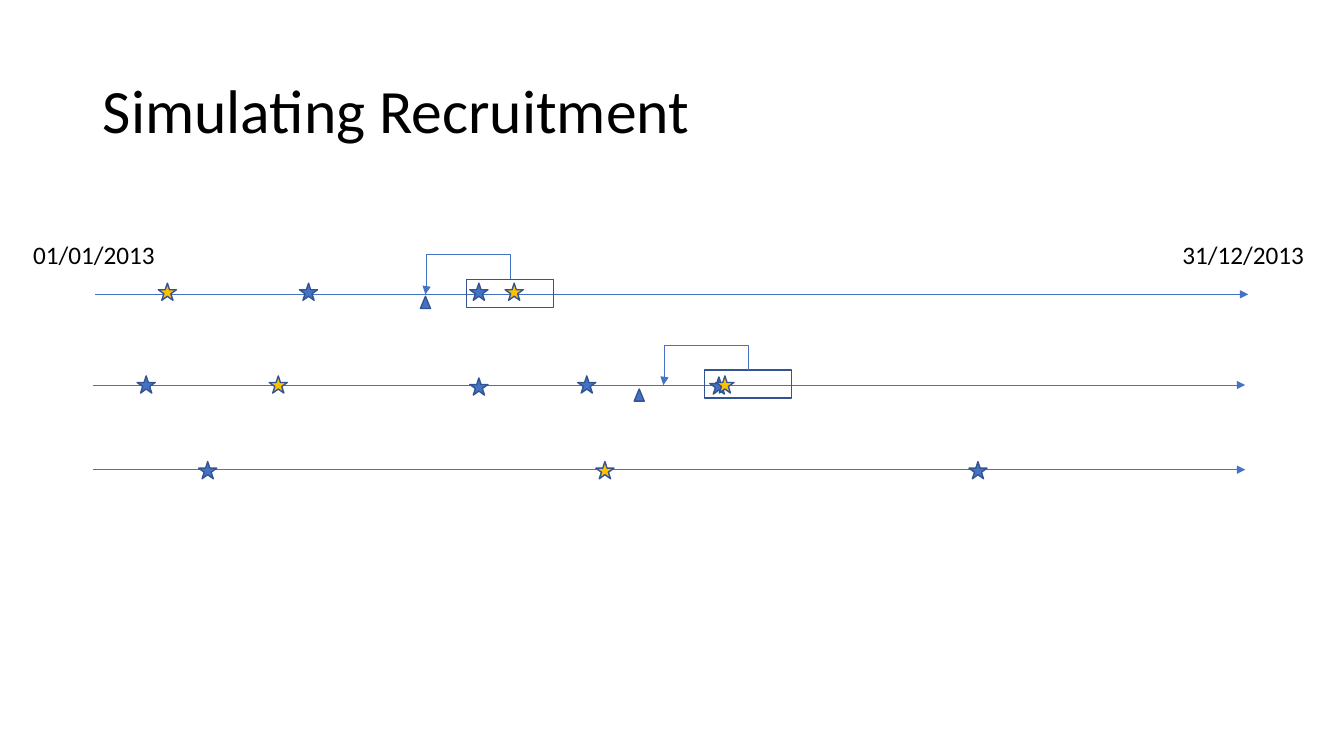
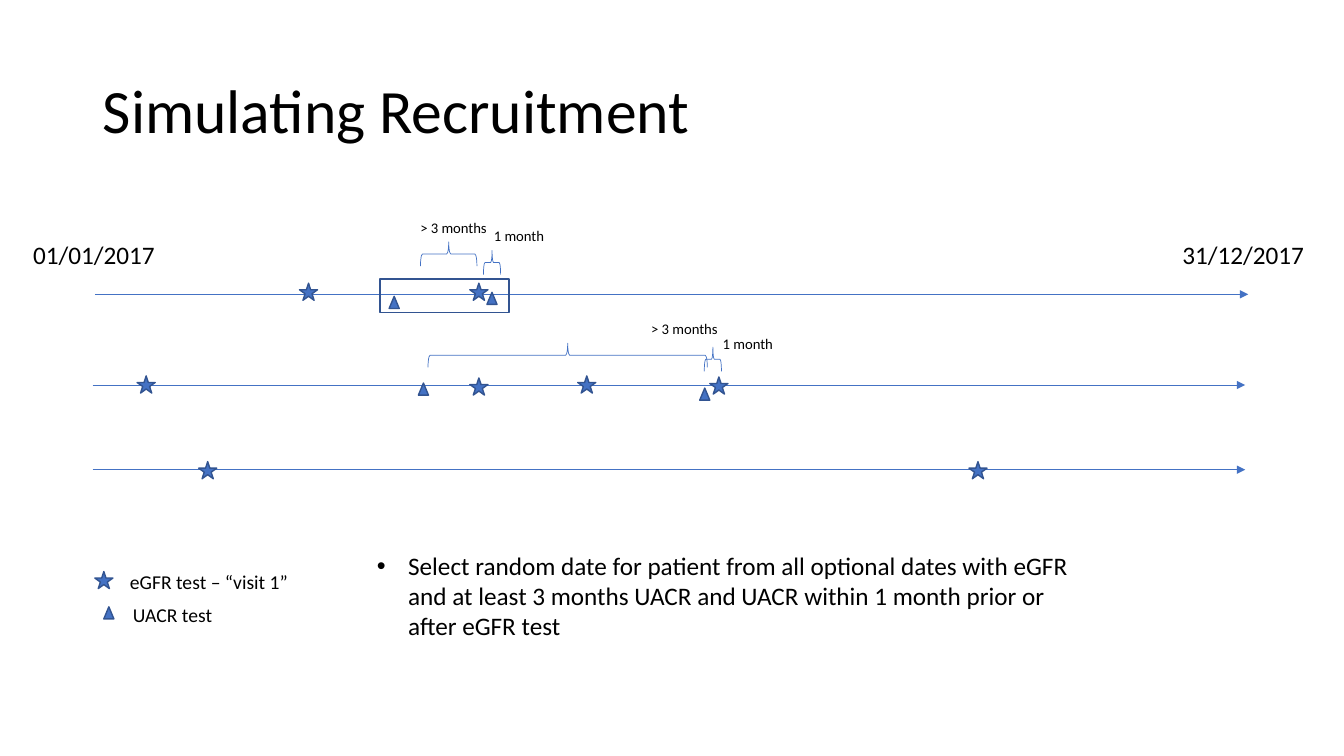
from dataclasses import dataclass

from lxml.etree import SubElement
from pptx import Presentation
from pptx.dml.color import RGBColor
from pptx.enum.shapes import MSO_CONNECTOR as Conn, MSO_SHAPE as Shape
from pptx.enum.text import MSO_ANCHOR as Anchor, MSO_AUTO_SIZE as AutoSize, PP_ALIGN as Align
from pptx.oxml.ns import qn
from pptx.util import Emu, Pt

PX = 9144  # 100 px to the inch
TITLE_ONLY = 5
FONT = "Calibri"
COLORS = {"blue": "4472C4", "gold": "FFC000", "outline": "325491", "text": "000000"}


def px(n: float) -> Emu:
    return Emu(round(n * PX))


def rgb(name: str) -> RGBColor:
    return RGBColor.from_string(COLORS[name])


def apply(obj, values: dict) -> None:
    for name, value in values.items():
        setattr(obj, name, value)


@dataclass(frozen=True)
class Box:
    x: int
    y: int
    w: int
    h: int

    def emu(self) -> tuple:
        return tuple(px(n) for n in (self.x, self.y, self.w, self.h))


@dataclass(frozen=True)
class Marker:
    kind: Shape
    x: int
    y: int
    fill: str = "blue"

    def box(self) -> Box:
        return Box(self.x, self.y, *MARKER_SIZES[self.kind])


@dataclass(frozen=True)
class Brace:
    cx: int
    cy: int
    span: int


@dataclass(frozen=True)
class Label:
    text: str
    box: Box
    size: float
    bullet: bool = False


@dataclass(frozen=True)
class Timeline:
    x: int
    y: int
    length: int


STAR, TRIANGLE = Shape.STAR_5_POINT, Shape.ISOSCELES_TRIANGLE
MARKER_SIZES = {STAR: (18, 17), TRIANGLE: (10, 12)}
BRACE_DEPTH = 24
TITLE = "Simulating Recruitment"
TITLE_BOX = Box(92, 40, 1150, 145)
TIMELINES = [Timeline(94, 292, 1144), Timeline(92, 382, 1143), Timeline(92, 466, 1143)]

EGFR_STARS = [Marker(STAR, x, y) for x, y in (
    (297, 281), (466, 281),
    (136, 373), (466, 375), (573, 373), (704, 374),
    (197, 458), (961, 458))]
VISIT_STARS = [Marker(STAR, x, y, "gold") for x, y in (
    (157, 281), (501, 281), (267, 373), (710, 373), (591, 458))]
VISIT_WINDOWS = [Box(463, 277, 86, 28), Box(699, 367, 86, 28)]
VISIT_TRIANGLES = [Marker(TRIANGLE, 417, 294), Marker(TRIANGLE, 629, 386)]

UACR_WINDOW = Box(377, 277, 128, 33)
UACR_TRIANGLES = [Marker(TRIANGLE, x, y) for x, y in (
    (386, 294), (483, 290), (415, 380), (694, 385))]
BRACES = [Brace(445, 252, 56), Brace(488, 260, 17),
          Brace(563, 352, 277), Brace(707, 356, 17)]
INTERVAL_LABELS = [Label(text, Box(x, y, 97, 28), 10.5) for text, x, y in (
    ("> 3 months", 407, 212), ("1 month", 480, 220),
    ("> 3 months", 636, 312), ("1 month", 707, 327))]
LEGEND_MARKERS = [Marker(STAR, 94, 567), Marker(TRIANGLE, 103, 602)]
LEGEND_LABELS = [Label("eGFR test – “visit 1”", Box(119, 560, 187, 34), 14),
                 Label("UACR test", Box(122, 593, 187, 34), 14)]
RULE = Label("Select random date for patient from all optional dates with eGFR and at "
             "least 3 months UACR and UACR within 1 month prior or after eGFR test",
             Box(364, 541, 716, 101), 18, bullet=True)


def format_run(r, size: float) -> None:
    apply(r.font, {"name": FONT, "size": Pt(size)})
    r.font.color.rgb = rgb("text")


def add_title(slide) -> None:
    sp = slide.shapes.title
    apply(sp, dict(zip(("left", "top", "width", "height"), TITLE_BOX.emu())))
    tf = sp.text_frame
    apply(tf, {"word_wrap": True, "auto_size": AutoSize.NONE,
               "vertical_anchor": Anchor.MIDDLE})
    p = tf.paragraphs[0]
    apply(p, {"alignment": Align.LEFT, "line_spacing": 0.9})
    r = p.add_run()
    r.text = TITLE
    format_run(r, 44)


def add_label(slide, label: Label) -> None:
    tf = slide.shapes.add_textbox(*label.box.emu()).text_frame
    apply(tf, {"word_wrap": True, "auto_size": AutoSize.SHAPE_TO_FIT_TEXT})
    p = tf.paragraphs[0]
    r = p.add_run()
    r.text = label.text
    format_run(r, label.size)
    if label.bullet:
        pPr = p._p.get_or_add_pPr()
        pPr.set("marL", str(px(31)))
        pPr.set("indent", str(px(-31)))
        SubElement(pPr, qn("a:buFont"), typeface="Arial")
        SubElement(pPr, qn("a:buChar"), char="•")


def add_outline(slide, kind: Shape, box: Box, line: str = "outline", width: float = 1):
    sp = slide.shapes.add_shape(kind, *box.emu())
    sp.shadow.inherit = False
    sp.fill.background()
    sp.line.color.rgb = rgb(line)
    sp.line.width = Pt(width)
    return sp


def add_marker(slide, marker: Marker) -> None:
    sp = add_outline(slide, marker.kind, marker.box())
    sp.fill.solid()
    sp.fill.fore_color.rgb = rgb(marker.fill)


def add_brace(slide, brace: Brace) -> None:
    box = Box(brace.cx - BRACE_DEPTH // 2, brace.cy - brace.span // 2,
              BRACE_DEPTH, brace.span)
    add_outline(slide, Shape.LEFT_BRACE, box, "blue", 0.5).rotation = 90


def add_arrow(slide, kind: Conn, x1: int, y1: int, x2: int, y2: int):
    c = slide.shapes.add_connector(kind, px(x1), px(y1), px(x2), px(y2))
    c.line.color.rgb = rgb("blue")
    c.line.width = Pt(0.5)
    SubElement(c.line._get_or_add_ln(), qn("a:tailEnd"), type="triangle")
    SubElement(c._element.spPr, qn("a:effectLst"))
    return c


def add_look_back(slide, window: Box, sp) -> None:
    """Bent arrow from the top of a window back to the timeline on its left."""
    back, drop = 84, 15
    x, y = window.x + window.w // 2, window.y
    c = add_arrow(slide, Conn.ELBOW, x, y, x - back, y + drop)
    c.begin_connect(sp, 0)
    # The box is turned by 270 degrees, so its sides swap about the same centre.
    apply(c, {"left": px(x - (back + drop) / 2), "top": px(y + (drop - back) / 2),
              "width": px(drop), "height": px(back)})
    xfrm = c._element.spPr.find(qn("a:xfrm"))
    for name, value in {"rot": "16200000", "flipH": "1", "flipV": "1"}.items():
        xfrm.set(name, value)
    geom = c._element.spPr.find(qn("a:prstGeom"))
    geom.set("prst", "bentConnector4")
    guides = geom.find(qn("a:avLst"))
    if guides is None:
        guides = SubElement(geom, qn("a:avLst"))
    for name, value in {"adj1": -165900, "adj2": 98800}.items():
        SubElement(guides, qn("a:gd"), name=name, fmla=f"val {value}")


def add_timeline_slide(prs, year: int):
    """Slide with the title, the year's end dates, the timelines and the eGFR tests."""
    slide = prs.slides.add_slide(prs.slide_layouts[TITLE_ONLY])
    add_title(slide)
    for t in TIMELINES:
        add_arrow(slide, Conn.STRAIGHT, t.x, t.y, t.x + t.length, t.y)
    for day, x in (("01/01", 23), ("31/12", 1163)):
        add_label(slide, Label(f"{day}/{year}", Box(x, 233, 143, 40), 18))
    for star in EGFR_STARS:
        add_marker(slide, star)
    return slide


def build_visit_slide(prs) -> None:
    slide = add_timeline_slide(prs, 2013)
    for star in VISIT_STARS:
        add_marker(slide, star)
    for window in VISIT_WINDOWS:
        add_look_back(slide, window, add_outline(slide, Shape.RECTANGLE, window))
    for triangle in VISIT_TRIANGLES:
        add_marker(slide, triangle)


def build_uacr_slide(prs) -> None:
    slide = add_timeline_slide(prs, 2017)
    add_outline(slide, Shape.RECTANGLE, UACR_WINDOW)
    for marker in UACR_TRIANGLES + LEGEND_MARKERS:
        add_marker(slide, marker)
    for brace in BRACES:
        add_brace(slide, brace)
    for label in [*INTERVAL_LABELS, *LEGEND_LABELS, RULE]:
        add_label(slide, label)


def main() -> None:
    prs = Presentation()
    apply(prs, {"slide_width": px(1333), "slide_height": px(750)})
    build_visit_slide(prs)
    build_uacr_slide(prs)
    prs.save("out.pptx")


if __name__ == "__main__":
    main()
